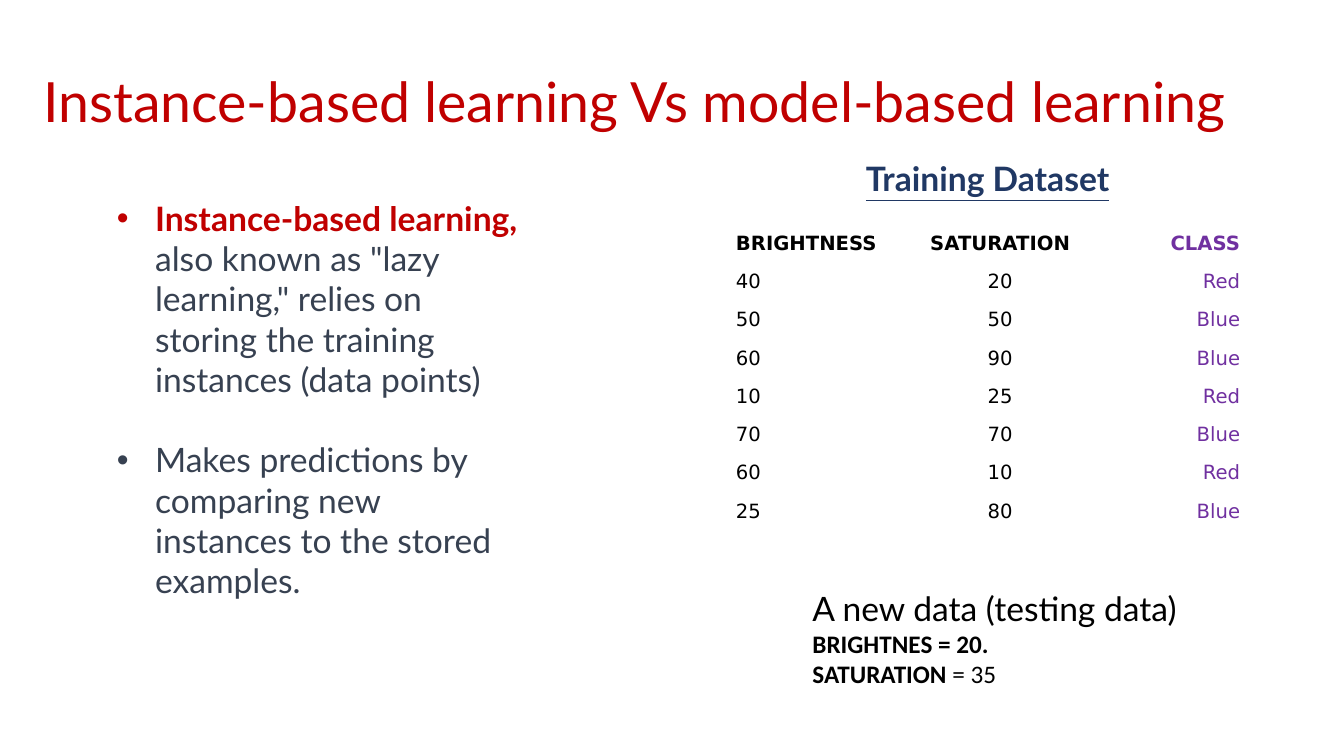
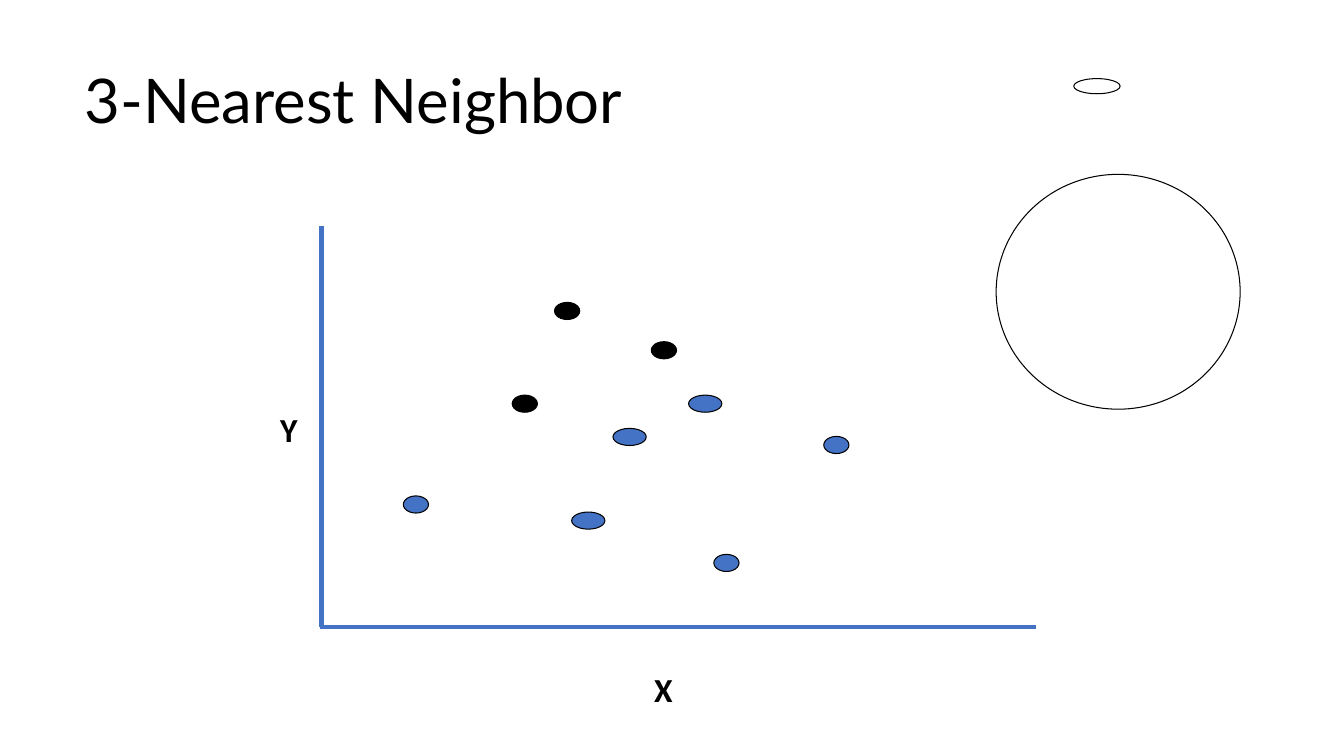
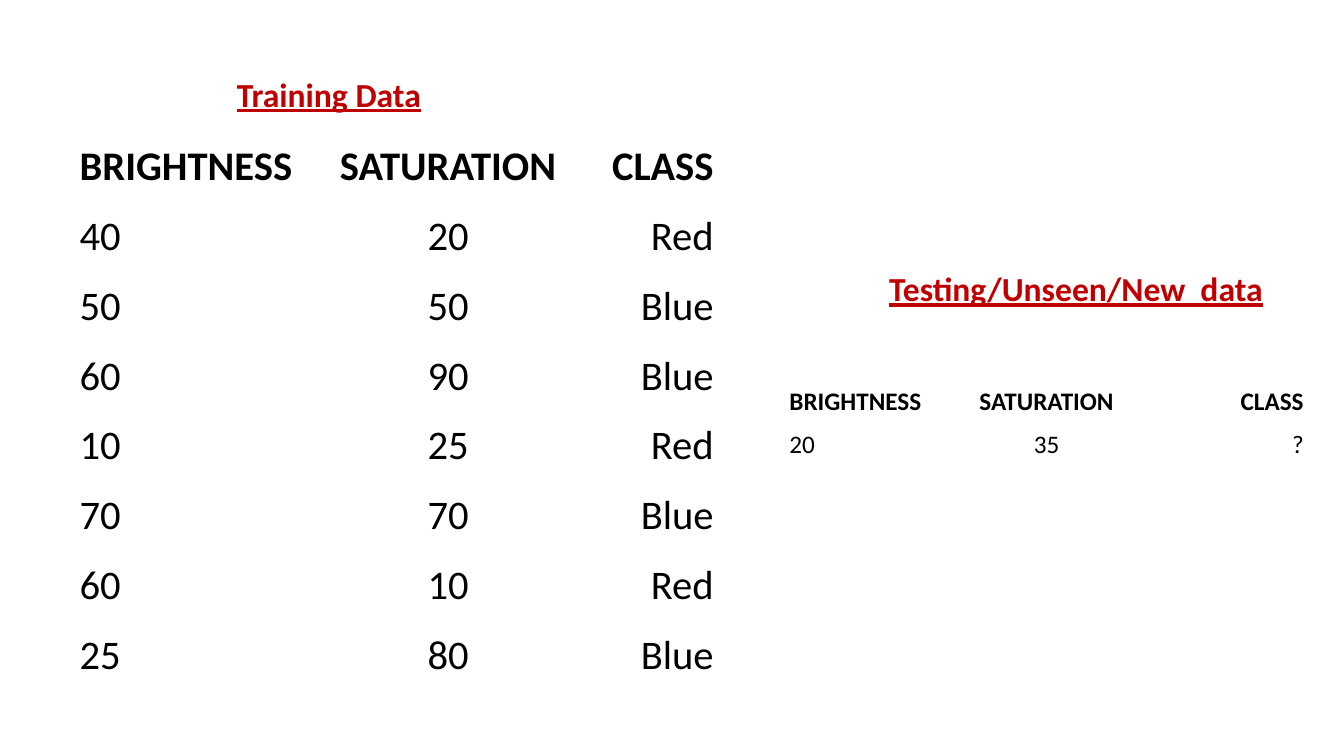
from pptx import Presentation
from pptx.dml.color import RGBColor
from pptx.enum.shapes import MSO_CONNECTOR, MSO_SHAPE
from pptx.enum.text import MSO_ANCHOR, PP_ALIGN
from pptx.oxml.xmlchemy import OxmlElement
from pptx.util import Inches, Pt

LEFT, CENTER, RIGHT = PP_ALIGN.LEFT, PP_ALIGN.CENTER, PP_ALIGN.RIGHT
MIDDLE = MSO_ANCHOR.MIDDLE
OVAL, STRAIGHT = MSO_SHAPE.OVAL, MSO_CONNECTOR.STRAIGHT

COLORS = {
    "black": "000000", "white": "FFFFFF", "red": "C00000", "slate": "374151",
    "navy": "203864", "purple": "7030A0", "blue": "4472C4",
}
HEADER = ("BRIGHTNESS", "SATURATION", "CLASS")
TRAINING = [
    HEADER,
    ("40", "20", "Red"), ("50", "50", "Blue"), ("60", "90", "Blue"),
    ("10", "25", "Red"), ("70", "70", "Blue"), ("60", "10", "Red"),
    ("25", "80", "Blue"),
]
TESTING = [HEADER, ("20", "35", "?")]


def color(name):
    return RGBColor.from_string(COLORS[name])


class Deck:
    """Shared style and the slide being built."""

    def __init__(self):
        self.prs = Presentation()
        self.prs.slide_width = Inches(13.33)
        self.prs.slide_height = Inches(7.5)
        self.slide = None

    def new_slide(self):
        self.slide = self.prs.slides.add_slide(self.prs.slide_layouts[6])

    def style(self, run, size, font="Calibri", ink="black", bold=False, underline=False):
        run.font.size = Pt(size)
        run.font.name = font
        run.font.color.rgb = color(ink)
        run.font.bold = bold
        run.font.underline = underline

    def text(self, box, paragraphs, wrap=True, align=LEFT):
        """Each paragraph is a list of (text, style) pairs."""
        frame = self.slide.shapes.add_textbox(*map(Inches, box)).text_frame
        frame.word_wrap = wrap
        for i, pieces in enumerate(paragraphs):
            paragraph = frame.add_paragraph() if i else frame.paragraphs[0]
            paragraph.alignment = align
            for wording, style in pieces:
                run = paragraph.add_run()
                run.text = wording
                self.style(run, **style)
        return frame

    def title(self, box, wording, size, ink):
        frame = self.text(box, [[(wording, dict(size=size, font="Lato", ink=ink))]])
        frame.vertical_anchor = MIDDLE
        frame.paragraphs[0].line_spacing = 0.9

    def label(self, box, wording, **style):
        self.text(box, [[(wording, dict(size=24, bold=True, **style))]], wrap=False)

    def bullets(self, box, paragraphs, gap):
        frame = self.text(box, paragraphs)
        for i, paragraph in enumerate(frame.paragraphs):
            paragraph.space_before = Pt(gap if i else 0)
            props = paragraph._p.get_or_add_pPr()
            props.set("marL", str(Inches(0.38)))
            props.set("indent", str(-Inches(0.38)))
            for tag, key, value in (("a:buFont", "typeface", "Arial"),
                                    ("a:buChar", "char", "•")):
                element = OxmlElement(tag)
                element.set(key, value)
                props.append(element)

    def table(self, left, top, widths, row_height, rows, size, inset,
              font="Calibri", class_ink="black"):
        table = self.slide.shapes.add_table(
            len(rows), len(widths), Inches(left), Inches(top),
            Inches(sum(widths)), Inches(row_height * len(rows))).table
        table.first_row = table.horz_banding = False
        for column, width in zip(table.columns, widths):
            column.width = Inches(width)
        for r, row in enumerate(rows):
            for c, (value, align) in enumerate(zip(row, (LEFT, CENTER, RIGHT))):
                cell = table.cell(r, c)
                cell.fill.background()
                cell.margin_left = cell.margin_right = Inches(inset)
                cell.margin_top = cell.margin_bottom = Inches(inset / 2)
                cell.text_frame.text = value
                paragraph = cell.text_frame.paragraphs[0]
                paragraph.alignment = align
                self.style(paragraph.runs[0], size, font,
                           class_ink if c == 2 else "black", bold=r == 0)

    def ellipse(self, left, top, width, height, fill=None):
        oval = self.slide.shapes.add_shape(
            OVAL, *map(Inches, (left, top, width, height)))
        oval.shadow.inherit = False
        if fill:
            oval.fill.solid()
            oval.fill.fore_color.rgb = color(fill)
        else:
            oval.fill.background()
        oval.line.color.rgb = color("black")
        oval.line.width = Pt(0.75)

    def axis(self, *ends):
        line = self.slide.shapes.add_connector(STRAIGHT, *map(Inches, ends))
        line.line.color.rgb = color("blue")
        line.line.width = Pt(3.5)
        line._element.spPr.append(OxmlElement("a:effectLst"))


def learning_slide(deck):
    deck.new_slide()
    deck.title((0.33, 0.61, 12.68, 0.86),
               "Instance-based learning Vs model-based learning", 39.6, "red")

    # Definition
    body = dict(size=24, font="Lato", ink="slate")
    deck.bullets((1.06, 1.91, 4.18, 4.54), [
        [("Instance-based learning, ", dict(body, ink="red", bold=True)),
         ("also known as \"lazy learning,\" relies on storing the training "
          "instances (data points)", body)],
        [("Makes predictions by comparing new instances to the stored examples.", body)],
    ], gap=28.8)

    # Training data
    deck.table(7.18, 2.24, (1.88, 1.72, 1.64), 0.38, TRAINING, 14, 0.12,
               font="DejaVu Sans", class_ink="purple")
    deck.text((7.48, 1.52, 4.63, 0.5), [[("Training Dataset", dict(
        size=24, font="Lato", ink="navy", bold=True, underline=True))]], align=CENTER)

    # Testing data
    strong = dict(size=18, bold=True)
    deck.text((7.96, 5.78, 4.46, 1.11), [
        [("A new data (testing data)", dict(size=24, font="Lato"))],
        [("BRIGHTNES = 20.", strong)],
        [("SATURATION", strong), (" = 35", dict(size=18))],
    ])


def neighbor_slide(deck):
    deck.new_slide()
    deck.title((0.74, 0.61, 8.93, 0.83), "3-Nearest Neighbor", 44, "black")

    # Neighborhood circle and new point
    deck.ellipse(9.88, 1.73, 2.42, 2.33)
    deck.ellipse(10.65, 0.78, 0.46, 0.15, "white")

    # Data points of both classes
    small, wide = 0.25, 0.33
    points = {
        "black": [(5.08, 3.92, small), (5.5, 3, small), (6.46, 3.39, small)],
        "blue": [(6.83, 3.92, wide), (8.17, 4.33, small), (4, 4.92, small),
                 (7.08, 5.5, small), (5.67, 5.08, wide), (6.08, 4.25, wide)],
    }
    for fill, places in points.items():
        for left, top, width in places:
            deck.ellipse(left, top, width, 0.17, fill)

    # Axes
    deck.axis(3.19, 2.24, 3.19, 6.22)
    deck.axis(10.28, 6.22, 3.17, 6.22)
    deck.label((6.39, 6.59, 0.39, 0.5), "X")
    deck.label((2.68, 4.01, 0.38, 0.5), "Y")


def data_slide(deck):
    deck.new_slide()
    deck.table(0.59, 1.31, (2.56, 2.59, 1.54), 0.69, TRAINING, 29, 0.2)
    deck.table(7.71, 3.77, (1.78, 1.78, 1.78), 0.43, TESTING, 18, 0.12)
    heading = dict(ink="red", underline=True)
    deck.label((2.25, 0.68, 2.05, 0.5), "Training Data", **heading)
    deck.label((8.72, 2.61, 3.95, 0.5), "Testing/Unseen/New  data", **heading)


def main():
    deck = Deck()
    learning_slide(deck)
    neighbor_slide(deck)
    data_slide(deck)
    deck.prs.save("out.pptx")


if __name__ == "__main__":
    main()
